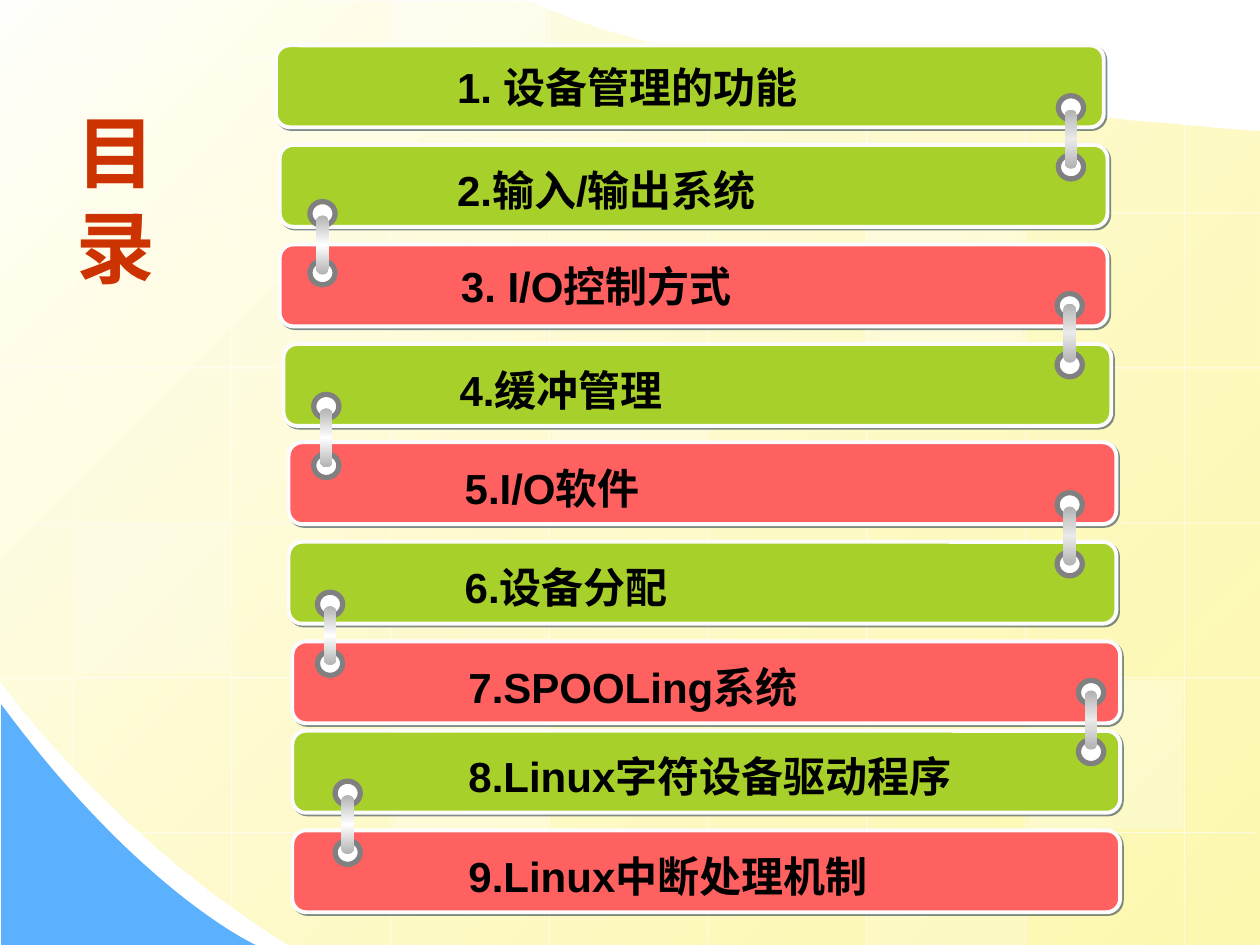
from lxml import etree
from pptx import Presentation
from pptx.dml.color import RGBColor
from pptx.enum.shapes import MSO_CONNECTOR, MSO_SHAPE
from pptx.enum.text import MSO_ANCHOR
from pptx.oxml.ns import qn
from pptx.util import Inches, Pt

RECT = MSO_SHAPE.RECTANGLE
ROUND = MSO_SHAPE.ROUNDED_RECTANGLE
OVAL = MSO_SHAPE.OVAL
LINE = MSO_CONNECTOR.STRAIGHT
MIDDLE = MSO_ANCHOR.MIDDLE

GREEN, RED = "A8D02A", "FF6161"
BARS = [
    (2.19, 0.36, 0.85, 0.08, GREEN, "1. 设备管理的功能"),
    (2.22, 1.15, 0.82, 0.11, GREEN, "2.输入/输出系统"),
    (2.22, 1.94, 0.85, 0.08, RED, "3. I/O控制方式"),
    (2.25, 2.73, 0.81, 0.11, GREEN, "4.缓冲管理"),
    (2.29, 3.51, 0.81, 0.11, RED, "5.I/O软件"),
    (2.29, 4.3, 0.81, 0.11, GREEN, "6.设备分配"),
    (2.32, 5.09, 0.81, 0.11, RED, "7.SPOOLing系统"),
    (2.32, 5.8, 0.81, 0.11, GREEN, "8.Linux字符设备驱动程序"),
    (2.32, 6.59, 0.81, 0.11, RED, "9.Linux中断处理机制"),
]
LINKS = [
    (8.39, 2.33, 0.08, "EAEAEA"),
    (8.39, 3.91, 0.11, "EAEAEA"),
    (2.49, 3.13, 0.11, "FFFFFF"),
    (8.4, 0.76, 0.11, "EAEAEA"),
    (2.46, 1.6, 0.11, "FFFFFF"),
    (2.52, 4.7, 0.11, "FFFFFF"),
    (8.56, 5.4, 0.08, "EAEAEA"),
    (2.66, 6.2, 0.11, "FFFFFF"),
]
SPANS = [(0, 6.09), (0, 7.19), (0, 7.5), (0, 7.52),
         (0.43, 7.52), (0.68, 7.52), (0.85, 7.52), (0.98, 7.52)]
ROWS = [(0, 5.68)] + [(0, 10.01)] * 4 + [(1.11, 9.97)]
TILES = [
    (4.38, 2.94, 1.18, 25), (8.16, 5.4, 1.18, 30), (0.6, 4.16, 1.18, 20),
    (6.9, 6.63, 0.87, 20), (3.11, 0, 0.44, 40), (3.12, 5.4, 1.18, 30),
    (6.89, 1.71, 1.18, 30),
]


def paint(fill, color):
    fill.solid()
    fill.fore_color.rgb = RGBColor.from_string(color)


def fade(node, alpha):
    for color in node.iter(qn("a:srgbClr")):
        etree.SubElement(color, qn("a:alpha"), val=str(alpha * 1000))


def blend(shape, stops, angle):
    shape.fill.gradient()
    shape.fill.gradient_angle = angle
    holder = shape.element.spPr.find(".//" + qn("a:gsLst"))
    for old in list(holder):
        holder.remove(old)
    for place, color, alpha in stops:
        stop = etree.SubElement(holder, qn("a:gs"), pos=str(place * 1000))
        etree.SubElement(stop, qn("a:srgbClr"), val=color)
        fade(stop, alpha)


def shade(effects, dist):
    cast = etree.SubElement(effects, qn("a:outerShdw"), dist=str(Pt(dist)),
                            dir="2700000", algn="ctr", rotWithShape="0")
    etree.SubElement(cast, qn("a:srgbClr"), val="001D3A")
    fade(cast, 50)


def add_form(shapes, kind, box, color, edge=None, width=0):
    shape = shapes.add_shape(kind, *map(Inches, box))
    shape.shadow.inherit = False
    paint(shape.fill, color)
    if edge:
        paint(shape.line.fill, edge)
        shape.line.width = Pt(width)
    else:
        shape.line.fill.background()
    return shape


def add_rule(shapes, x1, y1, x2, y2):
    rule = shapes.add_connector(LINE, *map(Inches, (x1, y1, x2, y2)))
    paint(rule.line.fill, "FFFFFF")
    rule.line.width = Pt(0.75)
    fade(rule.line._ln, 50)
    etree.SubElement(rule.element.spPr, qn("a:effectLst"))


def curve(a, b, c, d, steps=40):
    points = []
    for i in range(steps + 1):
        t = i / steps
        u = 1 - t
        points.append(tuple(
            u**3 * p + 3 * u * u * t * q + 3 * u * t * t * r + t**3 * s
            for p, q, r, s in zip(a, b, c, d)))
    return points


def add_free(shapes, points):
    dots = [(Inches(x), Inches(y)) for x, y in points]
    build = shapes.build_freeform(*dots[0])
    build.add_line_segments(dots[1:], close=True)
    shape = build.convert_to_shape()
    shape.shadow.inherit = False
    shape.line.fill.background()
    return shape


def add_text(shapes, box, text, size, color):
    area = shapes.add_textbox(*map(Inches, box))
    frame = area.text_frame
    frame.word_wrap = True
    para = frame.paragraphs[0]
    run = para.add_run()
    run.text = text
    run.font.size = Pt(size)
    run.font.bold = True
    paint(run.font.fill, color)
    return frame, para, run


def add_back(shapes):
    low = curve((2.3, 7.5), (0.86, 6.61), (-0.01, 5.39), (0, 5.39))
    top = curve((4.21, 0.01), (4.21, 0.01), (5.37, 0.69), (10, 1.04))
    field = add_free(shapes, [(10, 7.5)] + low + [(-0.01, -0.01)] + top)
    blend(field, [(0, "FFFFFB", 100), (100, "FDF58D", 70)], 315)
    edge = curve((2.03, 7.5), (2.03, 7.5), (1.12, 7.09), (0.01, 5.59))
    paint(add_free(shapes, [(0.01, 7.5)] + edge).fill, "5CB1FE")
    grid = shapes.add_group_shape().shapes
    for i, (start, end) in enumerate(SPANS):
        x = 0.58 + 1.26 * i
        add_rule(grid, x, start, x, end)
    for i, (start, end) in enumerate(ROWS):
        y = 0.46 + 1.23 * i
        add_rule(grid, end, y, start, y)
    for x, y, high, alpha in TILES:
        tile = add_form(shapes, RECT, (x, y, 1.23, high), "FFFFFF")
        fade(tile.element.spPr, alpha)


def add_title(shapes, box):
    frame, para, run = add_text(shapes, box, "目录", 45, "CC3300")
    frame.vertical_anchor = MIDDLE
    run.font.name = "Arial"


def add_bar(shapes, x, y, dx, dy, color, text):
    group = shapes.add_group_shape().shapes
    bar = add_form(group, ROUND, (x, y, 6.57, 0.65), color, "FCFCFC", 2.25)
    bar.adjustments[0] = 0.167
    shade(bar.element.spPr.find(qn("a:effectLst")), 1.4)
    box = (x + dx, y + dy, 4.93, 0.5)
    frame, para, run = add_text(group, box, text, 24, "000000")
    props = para._p.get_or_add_pPr()
    props.set("marL", str(Inches(0.5)))
    props.set("indent", str(Inches(-0.01)))
    shade(etree.SubElement(run.font._element, qn("a:effectLst")), 2)
    run.font.name = "Arial"


def add_link(shapes, x, y, drop, shine):
    group = shapes.add_group_shape().shapes
    for top in (y, y + 0.47):
        add_form(group, OVAL, (x, top, 0.2, 0.19), "FFFFFF", "808080", 3)
    rod = add_form(group, ROUND, (x + 0.05, y + drop, 0.1, 0.47), shine)
    rod.adjustments[0] = 0.5
    blend(rod, [(0, "B2B2B2", 100), (50, shine, 100), (100, "B2B2B2", 100)], 270)


def main():
    deck = Presentation()
    deck.slide_width, deck.slide_height = Inches(10), Inches(7.5)
    shapes = deck.slides.add_slide(deck.slide_layouts[6]).shapes
    add_back(shapes)
    add_title(shapes, (0.51, 1.07, 1.26, 1.01))
    for bar in BARS:
        add_bar(shapes, *bar)
    for link in LINKS:
        add_link(shapes, *link)
    deck.save("out.pptx")


if __name__ == "__main__":
    main()
